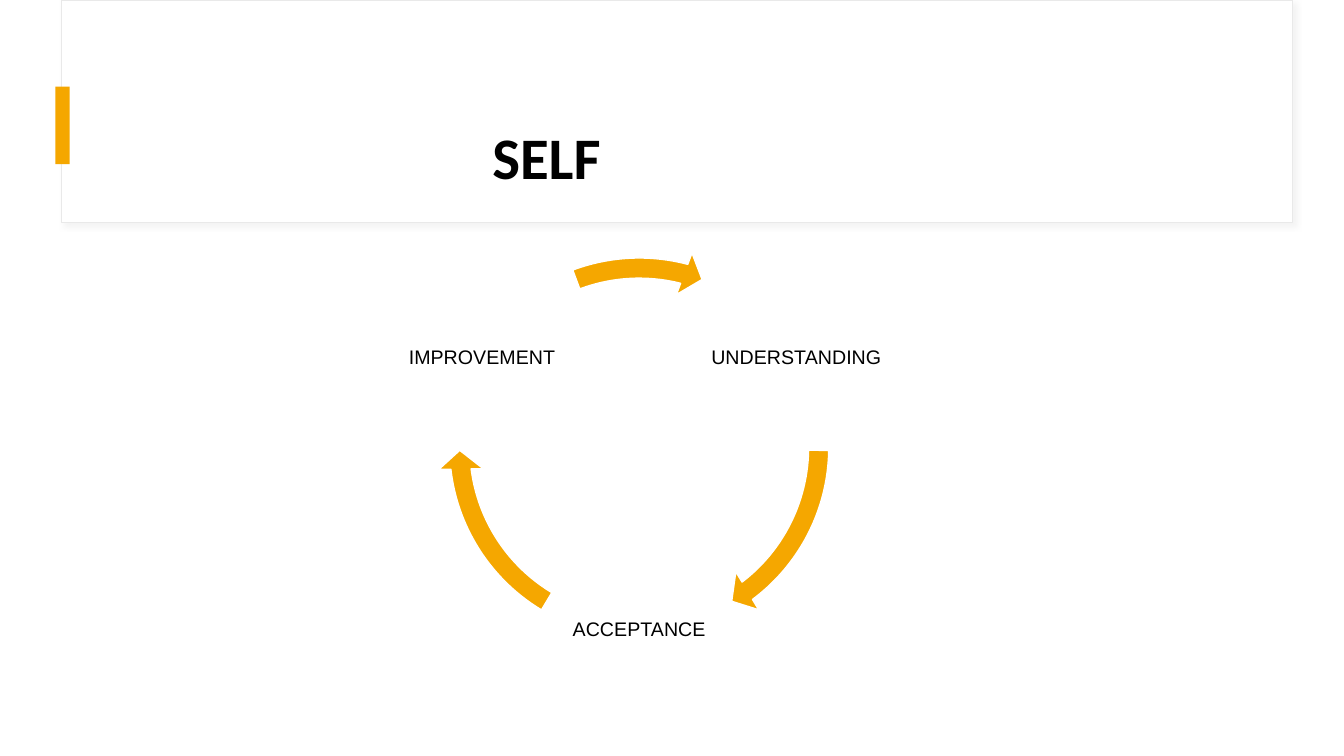
import math
from dataclasses import dataclass

import lxml.etree
import pptx
import pptx.dml.color
import pptx.enum.shapes
import pptx.enum.text
import pptx.oxml.ns
import pptx.util
from pptx.util import Inches


@dataclass(frozen=True)
class Theme:
    accent: str = "F5A700"
    paper: str = "FFFFFF"
    ink: str = "000000"
    panel_line: str = "E9E9E9"
    panel_shadow: str = "D9D9D9"
    title_font: str = "Calibri"
    label_font: str = "Arial"
    title_size: float = 42
    label_size: float = 14


@dataclass(frozen=True)
class Box:
    left: float
    top: float
    width: float
    height: float

    def lengths(self) -> tuple:
        return tuple(Inches(x) for x in (self.left, self.top, self.width, self.height))


@dataclass(frozen=True)
class Stage:
    """A cycle label, and the arrow after it; degrees run clockwise from the right."""
    label: str
    label_angle: float
    arrow_start: float
    arrow_end: float


THEME = Theme()
CENTER_X, CENTER_Y = 6.34, 4.44
RING_SIZE = 4
LABEL_SIZE = 1.86
LABEL_RADIUS = 1.8
LABEL_INSET = 0.02
BAND_WIDTH = 0.05
HEAD_WIDTH = 0.055
HEAD_ANGLE = 6
ADJUSTMENT_PER_DEGREE = 0.6

STAGES = (
    Stage("UNDERSTANDING", -30, 0.89, 52.97),
    Stage("ACCEPTANCE", 90, 121.04, 173.11),
    Stage("IMPROVEMENT", 210, 249.48, 284.52),
)


def color(value: str) -> pptx.dml.color.RGBColor:
    return pptx.dml.color.RGBColor.from_string(value)


def add_filled_shape(slide, kind, box: Box, fill: str, line: str = "", line_width: float = 0):
    shape = slide.shapes.add_shape(kind, *box.lengths())
    shape.shadow.inherit = False
    shape.fill.solid()
    shape.fill.fore_color.rgb = color(fill)
    if line:
        shape.line.color.rgb = color(line)
        shape.line.width = pptx.util.Pt(line_width)
    else:
        shape.line.fill.background()
    return shape


def add_soft_shadow(shape) -> None:
    qn = pptx.oxml.ns.qn
    effects = shape.element.spPr.find(qn("a:effectLst"))
    shadow = lxml.etree.SubElement(
        effects, qn("a:outerShdw"), blurRad=str(pptx.util.Pt(4)),
        dist=str(pptx.util.Pt(3)), dir=str(45 * 60000), algn="tl", rotWithShape="0")
    tint = lxml.etree.SubElement(shadow, qn("a:srgbClr"), val=THEME.panel_shadow)
    lxml.etree.SubElement(tint, qn("a:alpha"), val="30000")


def add_centered_text(slide, box: Box, text: str, font: str, size: float, bold: bool = False):
    shape = slide.shapes.add_textbox(*box.lengths())
    frame = shape.text_frame
    frame.word_wrap = True
    frame.vertical_anchor = pptx.enum.text.MSO_ANCHOR.MIDDLE
    paragraph = frame.paragraphs[0]
    paragraph.alignment = pptx.enum.text.PP_ALIGN.CENTER
    run = paragraph.add_run()
    run.text = text
    run.font.name = font
    run.font.size = pptx.util.Pt(size)
    run.font.bold = bold
    run.font.color.rgb = color(THEME.ink)
    return shape


def add_stage(slide, stage: Stage) -> None:
    angle = math.radians(stage.label_angle)
    label_box = Box(
        CENTER_X + LABEL_RADIUS * math.cos(angle) - LABEL_SIZE / 2,
        CENTER_Y + LABEL_RADIUS * math.sin(angle) - LABEL_SIZE / 2,
        LABEL_SIZE, LABEL_SIZE)
    label = add_centered_text(slide, label_box, stage.label, THEME.label_font, THEME.label_size)
    frame = label.text_frame
    frame.margin_left = frame.margin_right = Inches(LABEL_INSET)
    frame.margin_top = frame.margin_bottom = Inches(LABEL_INSET)

    ring = Box(CENTER_X - RING_SIZE / 2, CENTER_Y - RING_SIZE / 2, RING_SIZE, RING_SIZE)
    arrow = add_filled_shape(slide, pptx.enum.shapes.MSO_SHAPE.CIRCULAR_ARROW, ring,
                             THEME.accent, THEME.paper, 1)
    angles = (HEAD_ANGLE, stage.arrow_end, stage.arrow_start)
    values = (BAND_WIDTH, *(a * ADJUSTMENT_PER_DEGREE for a in angles), HEAD_WIDTH)
    for index, value in enumerate(values):
        arrow.adjustments[index] = value


def main() -> None:
    presentation = pptx.Presentation()
    presentation.slide_width = Inches(13.33)
    presentation.slide_height = Inches(7.5)
    slide = presentation.slides.add_slide(presentation.slide_layouts[6])
    slide.background.fill.solid()
    slide.background.fill.fore_color.rgb = color(THEME.paper)

    rectangle = pptx.enum.shapes.MSO_SHAPE.RECTANGLE
    panel = add_filled_shape(slide, rectangle, Box(0.61, 0, 12.21, 2.21),
                             THEME.paper, THEME.panel_line, 0.75)
    add_soft_shadow(panel)
    add_filled_shape(slide, rectangle, Box(0.55, 0.86, 0.14, 0.77), THEME.accent)
    for stage in STAGES:
        add_stage(slide, stage)
    add_centered_text(slide, Box(1.67, 1, 7.5, 1.1), "SELF",
                      THEME.title_font, THEME.title_size, bold=True)
    presentation.save("out.pptx")


if __name__ == "__main__":
    main()
